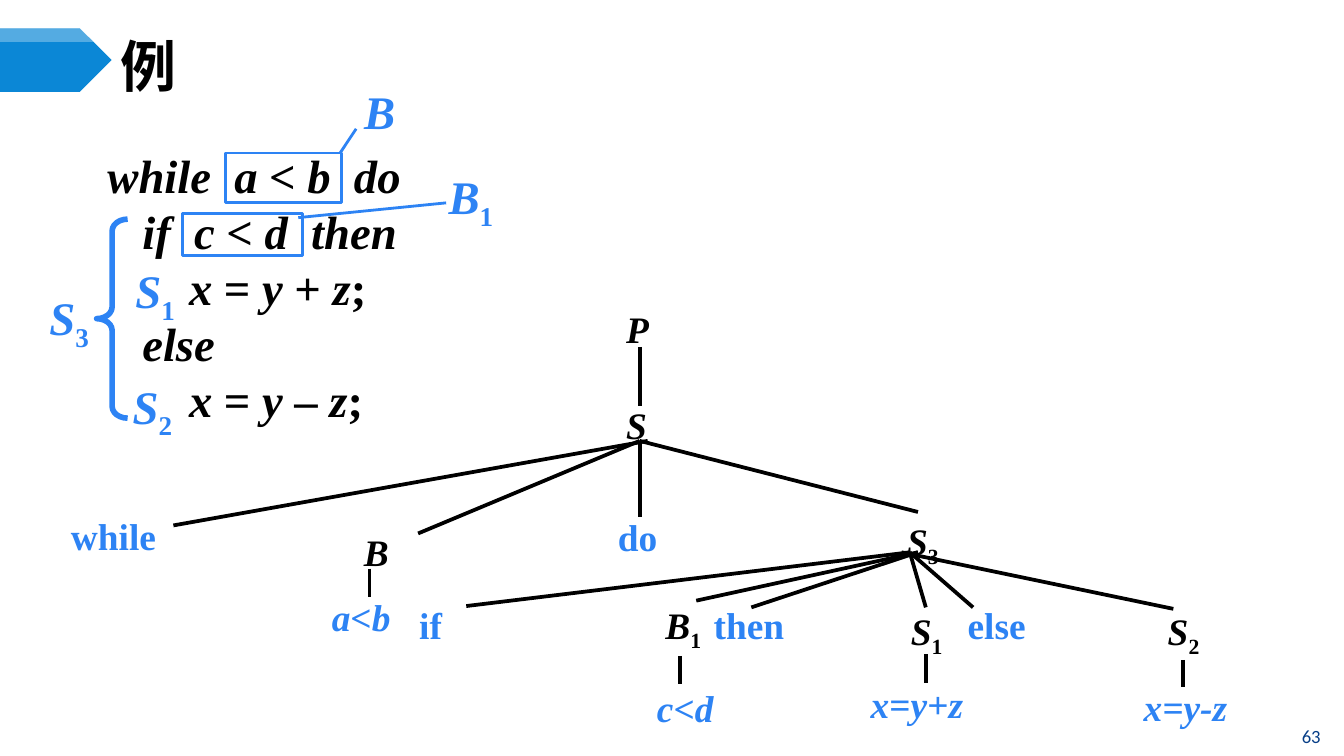
from itertools import groupby

from lxml import etree
from pptx import Presentation
from pptx.dml.color import RGBColor
from pptx.enum import shapes as sh, text as tx
from pptx.oxml import ns
from pptx.util import Pt

HUES = {"ink": "000000", "blue": "2D83F4", "plate": "0B87D6",
        "page": "073E87", "white": "FFFFFF"}
SERIF = "Times New Roman"
CODE = ["while  a < b  do", "   if  c < d  then", "       x = y + z;",
        "   else", "       x = y – z;"]
LABELS = [("S1", 65.5, 136.8, 54.7), ("S2", 64, 198.7, 49.7),
          ("S3", 19.4, 151.2, 45.4), ("B", 188, 41, 33.8),
          ("B1", 233.3, 86.4, 52.6)]
FRAMES = [(121, 82, 62, 26.7), (98, 114.5, 64, 22.3)]
LEADS = [(190.8, 69, 182.2, 82), (239, 108.7, 159.8, 116.6)]
NODES = [("P", 330.5, 167.8, 0.8), ("S", 330.5, 219.6, 0.8),
         ("B", 190, 287.3, 0.8), ("S3", 481, 279.4, 0.8),
         ("B1", 351.4, 321.8, 1), ("S1", 483, 327.6, 0.8),
         ("S2", 620.6, 327.6, 0.8)]
WORDS = [("while", 33, 274.3, 60), ("do", 326, 275, 34),
         ("if", 219.6, 321.8, 34), ("then", 377.3, 321.8, 51),
         ("else", 513.4, 321.8, 42.5)]
LEAVES = [("a<b", 172.8, 317.5, 47, None), ("c<d", 347, 366.5, 47, True),
          ("x=y+z", 461.5, 364.3, 64, None), ("x=y-z", 607.7, 365.8, 64, True)]
FANS = {236.2: [(342.7, 491.8, 274.3), (342.7, 342.7, 277.2),
                (342.7, 224, 285.8), (347, 92.9, 281.5)],
        295.9: [(491.8, 402.5, 325.4), (487.4, 521.3, 325.4),
                (491.8, 373, 321.8), (487.4, 496, 325.4),
                (487.4, 249.8, 324.7), (483, 628.6, 326.2)]}
STEMS = [(342.7, 185.8, 217.4), (198, 304.6, 319.7), (364.3, 351.4, 366.5),
         (496, 350.6, 365.8), (633.6, 353.5, 367.9)]


def hue(name):
    """Return a named colour."""
    return RGBColor.from_string(HUES[name])


def kind(char):
    """Sort a character into digit, letter or sign."""
    return "digit" if char.isdigit() else "letter" if char.isalpha() else "sign"


def write(box, lines, font=SERIF, size=25, color="ink", bold=True, slant=None,
          pad=(7.2, 3.6), align=None, lead=None, gap=0, anchor=None):
    """Fill a box; without a slant, letters lean and digits drop."""
    frame = box.text_frame
    frame.word_wrap = True
    frame.auto_size = tx.MSO_AUTO_SIZE.NONE
    frame.vertical_anchor = anchor or tx.MSO_ANCHOR.TOP
    frame.margin_left = frame.margin_right = Pt(pad[0])
    frame.margin_top = frame.margin_bottom = Pt(pad[1])
    for row, line in enumerate(lines):
        para = frame.add_paragraph() if row else frame.paragraphs[0]
        para.alignment = align or tx.PP_ALIGN.LEFT
        para.space_before = Pt(gap if row else 0)
        if lead:
            para.line_spacing = lead
        parts = groupby(line, kind) if slant is None else [("", line)]
        for sort, chars in parts:
            run = para.add_run()
            run.text = "".join(chars)
            face = run.font
            face.name, face.size, face.bold = font, Pt(size), bold
            face.italic = sort == "letter" if slant is None else slant
            face.color.rgb = hue(color)
            etree.SubElement(face._element, ns.qn("a:ea"), typeface=font)
            if sort == "digit":
                face._element.set("baseline", "-25000")


def note(slide, words, left, top, width, height, **style):
    """Add a text box."""
    box = slide.shapes.add_textbox(Pt(left), Pt(top), Pt(width), Pt(height))
    write(box, words if isinstance(words, list) else [words], **style)


def twig(slide, words, left, top, width, **style):
    """Add one label of the tree."""
    note(slide, words, left, top, width, 20, size=20, pad=(5, 0.7),
         align=tx.PP_ALIGN.JUSTIFY, **style)


def line(slide, x1, y1, x2, y2, color="ink", width=2):
    """Draw a straight line."""
    link = slide.shapes.add_connector(sh.MSO_CONNECTOR.STRAIGHT,
                                      Pt(x1), Pt(y1), Pt(x2), Pt(y2))
    link.line.color.rgb, link.line.width = hue(color), Pt(width)
    etree.SubElement(link._element.spPr, ns.qn("a:effectLst"))


def frame(slide, form, left, top, width, height, weight=1.5):
    """Draw a hollow blue shape."""
    shape = slide.shapes.add_shape(form, Pt(left), Pt(top), Pt(width), Pt(height))
    shape.shadow.inherit = False
    shape.fill.background()
    shape.line.color.rgb, shape.line.width = hue("blue"), Pt(weight)
    return shape


def paint(shape, color):
    """Give a shape a plain fill without an edge."""
    shape.shadow.inherit = False
    shape.fill.solid()
    shape.fill.fore_color.rgb = hue(color)
    shape.line.fill.background()


def head(slide):
    """Build the title with its arrow plate."""
    title = slide.shapes.title
    title.left, title.top, title.width, title.height = map(Pt, (59.8, 20.9, 624, 28))
    write(title, ["例"], font="Noto Sans CJK SC", size=30, slant=False,
          pad=(5, 2.9), anchor=tx.MSO_ANCHOR.MIDDLE)
    plate = slide.shapes.add_shape(sh.MSO_SHAPE.PENTAGON,
                                   0, Pt(15.2), Pt(59.8), Pt(34))
    paint(plate, "plate")
    pen = slide.shapes.build_freeform(0, Pt(15.2))
    pen.add_line_segments([(Pt(x), Pt(y)) for x, y in
                           [(42.8, 15.2), (50.1, 22.5), (0, 22.5)]])
    band = pen.convert_to_shape()
    paint(band, "white")
    tint = band._element.spPr.find(".//" + ns.qn("a:srgbClr"))
    etree.SubElement(tint, ns.qn("a:alpha"), val="30000")


def code(slide):
    """Build the program and its marks."""
    note(slide, CODE, 51.8, 80.6, 282, 121, pad=(5.8, 2.9), lead=Pt(25), gap=5)
    for words, left, top, width in LABELS:
        note(slide, words, left, top, width, 37.4, color="blue")
    for spot in FRAMES:
        frame(slide, sh.MSO_SHAPE.RECTANGLE, *spot)
    for ends in LEADS:
        line(slide, *ends, color="blue", width=1.5)
    brace = frame(slide, sh.MSO_SHAPE.LEFT_BRACE, 51.8, 117.4, 16.6, 106.6, 3)
    brace.adjustments[0] = 0.38


def tree(slide):
    """Build the parse tree."""
    for y, ends in FANS.items():
        for x1, x2, y2 in ends:
            line(slide, x1, y, x2, y2)
    for x, top, foot in STEMS:
        line(slide, x, top, x, foot)
    for words, left, top, lead in NODES:
        twig(slide, words, left, top, 34, lead=lead)
    for words, left, top, width in WORDS:
        twig(slide, words, left, top, width, color="blue", slant=False)
    for words, left, top, width, slant in LEAVES:
        twig(slide, words, left, top, width, color="blue", slant=slant)


def main():
    """Build and save the slide."""
    deck = Presentation()
    deck.slide_width, deck.slide_height = Pt(720), Pt(405)
    slide = deck.slides.add_slide(deck.slide_layouts[5])
    head(slide)
    code(slide)
    tree(slide)
    note(slide, "63", 686.2, 383.8, 32.4, 21.2, font="Calibri", size=10,
         color="page", bold=False, slant=False, pad=(5, 2.9),
         align=tx.PP_ALIGN.CENTER, anchor=tx.MSO_ANCHOR.MIDDLE)
    deck.save("out.pptx")


if __name__ == "__main__":
    main()
